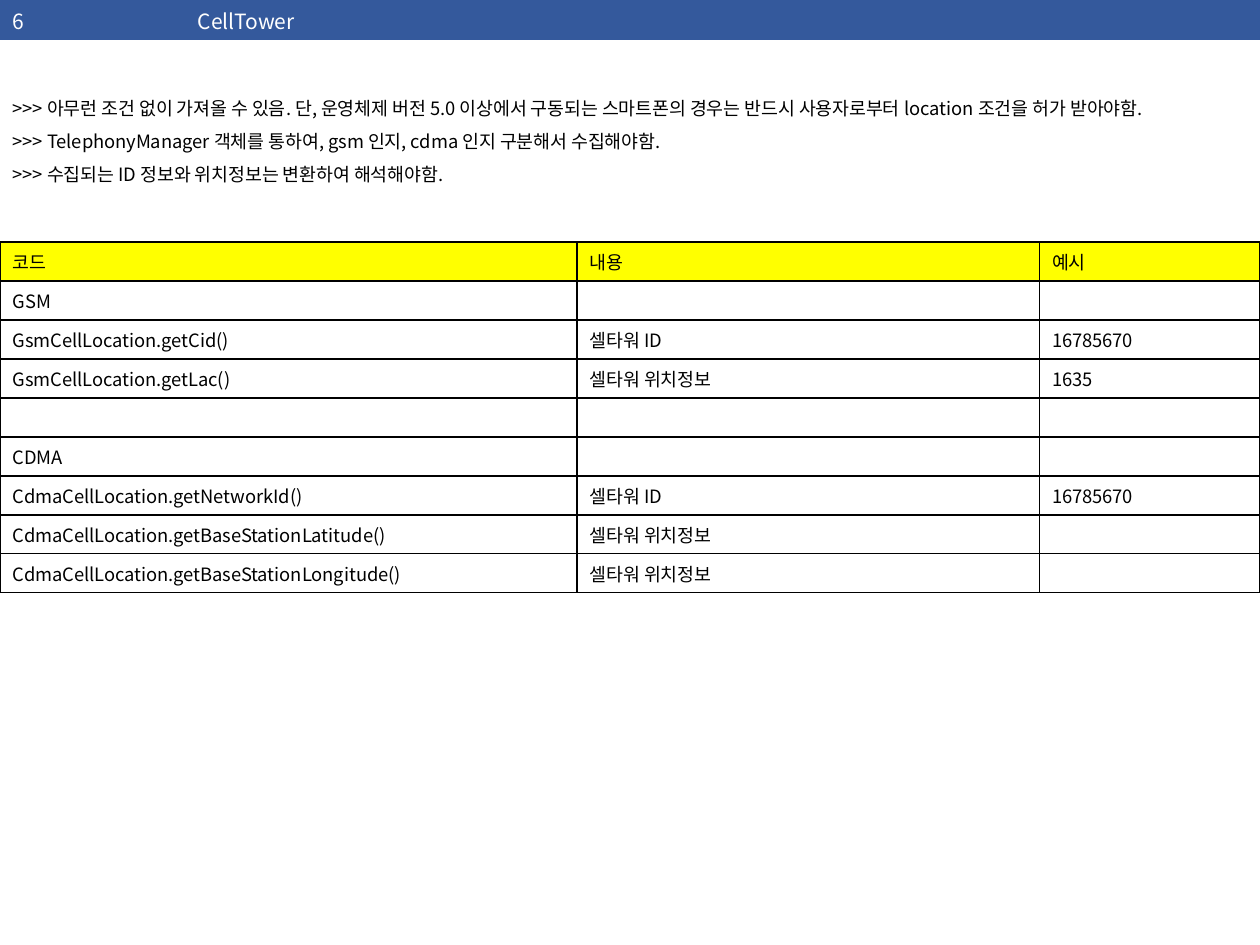
import pptx
import pptx.dml.color
import pptx.enum.text
import pptx.oxml.ns
import pptx.util
from lxml import etree

Pt = pptx.util.Pt
qn = pptx.oxml.ns.qn

THEME = {
    "font": "Noto Sans CJK KR",
    "bar": "34599C",
    "head": "FFFF00",
    "text": "000000",
    "light": "FFFFFF",
    "title_size": 12,
    "body_size": 10.5,
}

HEADER = [("6", "CellTower")]
NOTES = [
    ">>> 아무런 조건 없이 가져올 수 있음. 단, 운영체제 버전 5.0 이상에서 구동되는 스마트폰의 경우는 "
    "반드시 사용자로부터 location 조건을 허가 받아야함.",
    ">>> TelephonyManager 객체를 통하여, gsm 인지, cdma 인지 구분해서 수집해야함.",
    ">>> 수집되는 ID 정보와 위치정보는 변환하여 해석해야함.",
]
CODES = [
    ("코드", "내용", "예시"),
    ("GSM", "", ""),
    ("GsmCellLocation.getCid()", "셀타워 ID", "16785670"),
    ("GsmCellLocation.getLac()", "셀타워 위치정보", "1635"),
    ("", "", ""),
    ("CDMA", "", ""),
    ("CdmaCellLocation.getNetworkId()", "셀타워 ID", "16785670"),
    ("CdmaCellLocation.getBaseStationLatitude()", "셀타워 위치정보", ""),
    ("CdmaCellLocation.getBaseStationLongitude()", "셀타워 위치정보", ""),
]
SIDES = ("L", "R", "T", "B")


def rgb(name):
    return pptx.dml.color.RGBColor.from_string(THEME[name])


def write(p, text, size=THEME["body_size"], color="text", spacing=None):
    p.space_before = Pt(0)
    if spacing:
        p.line_spacing = spacing
    if not text:
        # An empty cell takes its height from the paragraph end mark
        end = etree.SubElement(p._p, qn("a:endParaRPr"), sz=str(int(size * 100)))
        for tag in ("a:latin", "a:ea"):
            etree.SubElement(end, qn(tag), typeface=THEME["font"])
        return
    r = p.add_run()
    r.text = text
    r.font.size = Pt(size)
    r.font.color.rgb = rgb(color)
    r.font.name = THEME["font"]
    etree.SubElement(r._r.get_or_add_rPr(), qn("a:ea"), typeface=THEME["font"])


def set_borders(cell, borders):
    """Draw the sides in borders, a dict of side: (colour, width); clear the rest."""
    tc_pr = cell._tc.get_or_add_tcPr()
    for side in SIDES:
        color, width = borders.get(side, (None, 0))
        ln = etree.SubElement(tc_pr, qn("a:ln" + side), w=str(Pt(width)))
        if color:
            fill = etree.SubElement(ln, qn("a:solidFill"))
            etree.SubElement(fill, qn("a:srgbClr"), val=THEME[color])
        else:
            etree.SubElement(ln, qn("a:noFill"))


def add_grid(s, rows, top, widths, row_height, borders, head_fill, pad, **text_format):
    table = s.shapes.add_table(len(rows), len(widths), 0, Pt(top),
                               Pt(sum(widths)), Pt(row_height * len(rows))).table
    table.first_row = table.horz_banding = False
    for column, width in zip(table.columns, widths):
        column.width = Pt(width)
    for i, values in enumerate(rows):
        table.rows[i].height = Pt(row_height)
        for j, value in enumerate(values):
            cell = table.cell(i, j)
            cell.vertical_anchor = pptx.enum.text.MSO_ANCHOR.MIDDLE
            cell.margin_top = cell.margin_bottom = Pt(pad)
            set_borders(cell, borders)
            if i == 0:
                cell.fill.solid()
                cell.fill.fore_color.rgb = rgb(head_fill)
            else:
                cell.fill.background()
            write(cell.text_frame.paragraphs[0], value, **text_format)


def add_notes(s, lines):
    body = s.placeholders[1]
    body.left, body.top, body.width, body.height = 0, Pt(51.8), Pt(720), Pt(58.3)
    tf = body.text_frame
    tf.word_wrap = True
    tf.auto_size = pptx.enum.text.MSO_AUTO_SIZE.NONE
    for i, line in enumerate(lines):
        p = tf.add_paragraph() if i else tf.paragraphs[0]
        p_pr = p._p.get_or_add_pPr()
        p_pr.set("marL", "0")
        p_pr.set("indent", "0")
        etree.SubElement(p_pr, qn("a:buNone"))
        write(p, line, spacing=1.5 if i else None)


def main():
    prs = pptx.Presentation()
    prs.slide_width, prs.slide_height = Pt(720), Pt(540)
    s = prs.slides.add_slide(prs.slide_layouts[1])
    title = s.shapes.title._element
    title.getparent().remove(title)

    add_grid(s, HEADER, 0, (105.8, 614.2), 23.8, {"B": ("light", 2)}, "bar", 3,
             size=THEME["title_size"], color="light")
    add_grid(s, CODES, 138.2, (329.8, 264.2, 126), 22.3,
             dict.fromkeys(SIDES, ("text", 1)), "head", 3.5)
    add_notes(s, NOTES)
    prs.save("out.pptx")


if __name__ == "__main__":
    main()
